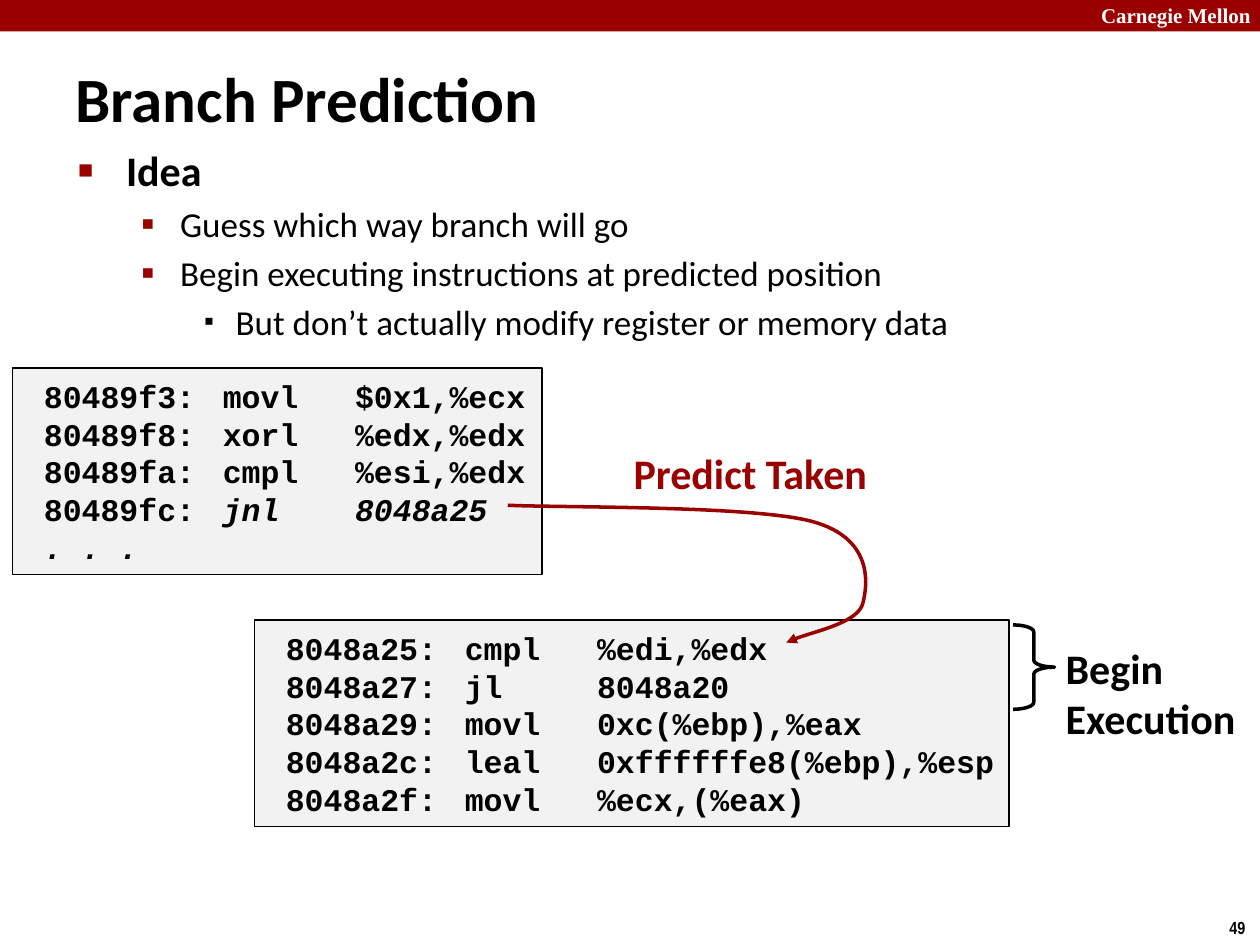
from lxml import etree
from pptx import Presentation
from pptx import util as u
from pptx.dml.color import RGBColor
from pptx.enum import shapes, text
from pptx.oxml.ns import qn

COLORS = {"red": "990000", "ink": "000000", "paper": "F2F2F2", "white": "FFFFFF"}
CELL = 0.1
TABS = (0.75, 1.57, 3.94, 5.12)
LEVELS = (
    {"size": 24, "bold": True, "left": 0.38, "hang": 0.38, "char": "■", "pct": 60, "color": "red"},
    {"size": 20, "bold": False, "left": 0.81, "hang": 0.31, "char": "▪", "pct": 110, "color": "red"},
    {"size": 20, "bold": False, "left": 1.25, "hang": 0.25, "char": "▪", "pct": 80, "color": "ink"},
)
IDEAS = (
    (0, "Idea"),
    (1, "Guess which way branch will go"),
    (1, "Begin executing instructions at predicted position"),
    (2, "But don’t actually modify register or memory data"),
)
BRANCH = (
    (" 80489f3:\tmovl   $0x1,%ecx", ""),
    (" 80489f8:\txorl   %edx,%edx", ""),
    (" 80489fa:\tcmpl   %esi,%edx", ""),
    (" 80489fc:\t", "jnl    8048a25"),
    ("", " . . ."),
)
TARGET = (
    (" 8048a25:\tcmpl   %edi,%edx", ""),
    (" 8048a27:\tjl     8048a20", ""),
    (" 8048a29:\tmovl   0xc(%ebp),%eax", ""),
    (" 8048a2c:\tleal   0xffffffe8(%ebp),%esp", ""),
    (" 8048a2f:\tmovl   %ecx,(%eax)", ""),
)
CURVE = (
    (40.3, 40.1), (44.4, 40.3), (59.8, 40.1), (64.5, 41.4), (69.2, 42.7),
    (68.9, 46.2), (68.5, 47.8), (68.2, 49.4), (63.7, 50.3), (62.4, 51),
)


def grid(*cells):
    """Turn grid columns and rows into lengths."""
    return [u.Inches(n * CELL) for n in cells]


def sub(parent, tag, **attrs):
    """Append an XML child with the given attributes."""
    child = etree.SubElement(parent, qn(tag))
    for name, value in attrs.items():
        child.set(name, str(value))
    return child


class Deck:
    """Hold the style and the current slide."""

    def __init__(self, prs):
        """Add a title and content slide."""
        self.s = prs.slides.add_slide(prs.slide_layouts[1])

    def rgb(self, name):
        """Look up a colour."""
        return RGBColor.from_string(COLORS[name])

    def font(self, p, size, color="ink", name="Calibri", bold=True):
        """Format every run of a paragraph."""
        for r in p.runs:
            r.font.size, r.font.name, r.font.bold = u.Pt(size), name, bold
            r.font.color.rgb = self.rgb(color)

    def place(self, sp, at):
        """Move a placeholder to its grid cells."""
        sp.left, sp.top, sp.width, sp.height = grid(*at)
        sp.text_frame.auto_size = text.MSO_AUTO_SIZE.NONE
        return sp.text_frame

    def indent(self, p, left, hang):
        """Set the margin and the hanging indent."""
        pPr = p._p.get_or_add_pPr()
        pPr.set("marL", str(u.Inches(left)))
        pPr.set("indent", str(-u.Inches(hang)))
        return pPr

    def title(self, words, at):
        """Fill the title placeholder."""
        tf = self.place(self.s.shapes.title, at)
        tf.text, tf.vertical_anchor = words, text.MSO_ANCHOR.MIDDLE
        p = tf.paragraphs[0]
        p.alignment = text.PP_ALIGN.LEFT
        self.indent(p, 0.13, 0.13)
        self.font(p, 36)

    def bullets(self, items, at):
        """Fill the body placeholder with a list."""
        tf = self.place(self.s.placeholders[1], at)
        tf.text = "\n".join(words for _, words in items)
        for i, (p, (level, _)) in enumerate(zip(tf.paragraphs, items)):
            look = LEVELS[level]
            p.level = level
            p.space_before = u.Pt(0.2 * look["size"] if i else 0)
            pPr = self.indent(p, look["left"], look["hang"])
            sub(sub(pPr, "a:buClr"), "a:srgbClr", val=COLORS[look["color"]])
            sub(pPr, "a:buSzPct", val=look["pct"] * 1000)
            sub(pPr, "a:buChar", char=look["char"])
            self.font(p, look["size"], bold=look["bold"])

    def label(self, words, at, size, color="ink", name="Calibri", wrap=False):
        """Add a text box."""
        tf = self.s.shapes.add_textbox(*grid(*at)).text_frame
        tf.text, tf.word_wrap = words, wrap
        for p in tf.paragraphs:
            self.font(p, size, color, name)

    def outline(self, sp, color, width):
        """Draw the line of a shape without a shadow."""
        sp.shadow.inherit = False
        sp.line.color.rgb, sp.line.width = self.rgb(color), u.Pt(width)

    def bar(self, at, color):
        """Add a plain band."""
        sp = self.s.shapes.add_shape(shapes.MSO_SHAPE.RECTANGLE, *grid(*at))
        sp.shadow.inherit = False
        sp.fill.solid()
        sp.fill.fore_color.rgb = self.rgb(color)
        sp.line.fill.background()
        return sp

    def code(self, lines, at):
        """Add a framed listing with plain and italic parts."""
        sp = self.bar(at, "paper")
        self.outline(sp, "ink", 1)
        tf = sp.text_frame
        tf.word_wrap = False
        tf.text = "\n".join(plain for plain, _ in lines)
        for p, (_, slanted) in zip(tf.paragraphs, lines):
            p.alignment = text.PP_ALIGN.LEFT
            tabs = sub(p._p.get_or_add_pPr(), "a:tabLst")
            for pos in TABS:
                sub(tabs, "a:tab", pos=u.Inches(pos), algn="l")
            if slanted:
                r = p.add_run()
                r.text, r.font.italic = slanted, True
            self.font(p, 18, name="Courier New")

    def brace(self, at):
        """Add a right brace."""
        sp = self.s.shapes.add_shape(shapes.MSO_SHAPE.RIGHT_BRACE, *grid(*at))
        sp.adjustments[0], sp.adjustments[1] = 0.167, 0.5
        sp.fill.background()
        self.outline(sp, "ink", 2)

    def curve(self, points, color):
        """Add a Bezier curve that ends in an arrowhead."""
        start, *rest = [grid(*point) for point in points]
        fb = self.s.shapes.build_freeform(*start)
        fb.add_line_segments(rest, close=False)
        sp = fb.convert_to_shape()
        sp.fill.background()
        self.outline(sp, color, 2)
        legs = list(sp._element.iter(qn("a:lnTo")))
        for i in range(0, len(legs), 3):
            bend = sub(legs[i].getparent(), "a:cubicBezTo")
            for leg in legs[i:i + 3]:
                bend.append(leg[0])
                leg.getparent().remove(leg)
        sub(sp.line._get_or_add_ln(), "a:tailEnd", type="triangle")


def main():
    """Build the slide."""
    prs = Presentation()
    prs.slide_width, prs.slide_height = grid(100, 75)
    d = Deck(prs)
    d.bar((0, 0, 100, 2.5), "red")
    d.label("Carnegie Mellon", (86.4, -0.3, 14.3, 3), 12, "white", "Times New Roman", True)
    d.label("49", (96.6, 72.3, 3.4, 2.7), 10, name="Arial Narrow")
    d.title("Branch Prediction", (5, 4.6, 61.6, 6.3))
    d.bullets(IDEAS, (5.2, 11, 90.9, 22.4))
    d.code(BRANCH, (1, 29.2, 42, 16.4))
    d.code(TARGET, (20.2, 49.2, 59.9, 16.4))
    d.label("Predict Taken", (49.3, 35, 20.7, 5), 24, "red")
    d.curve(CURVE, "red")
    d.brace((80.4, 49.6, 3.3, 6.7))
    d.label("Begin\nExecution", (83.6, 50.5, 15.6, 9.1), 24)
    prs.save("out.pptx")


if __name__ == "__main__":
    main()
